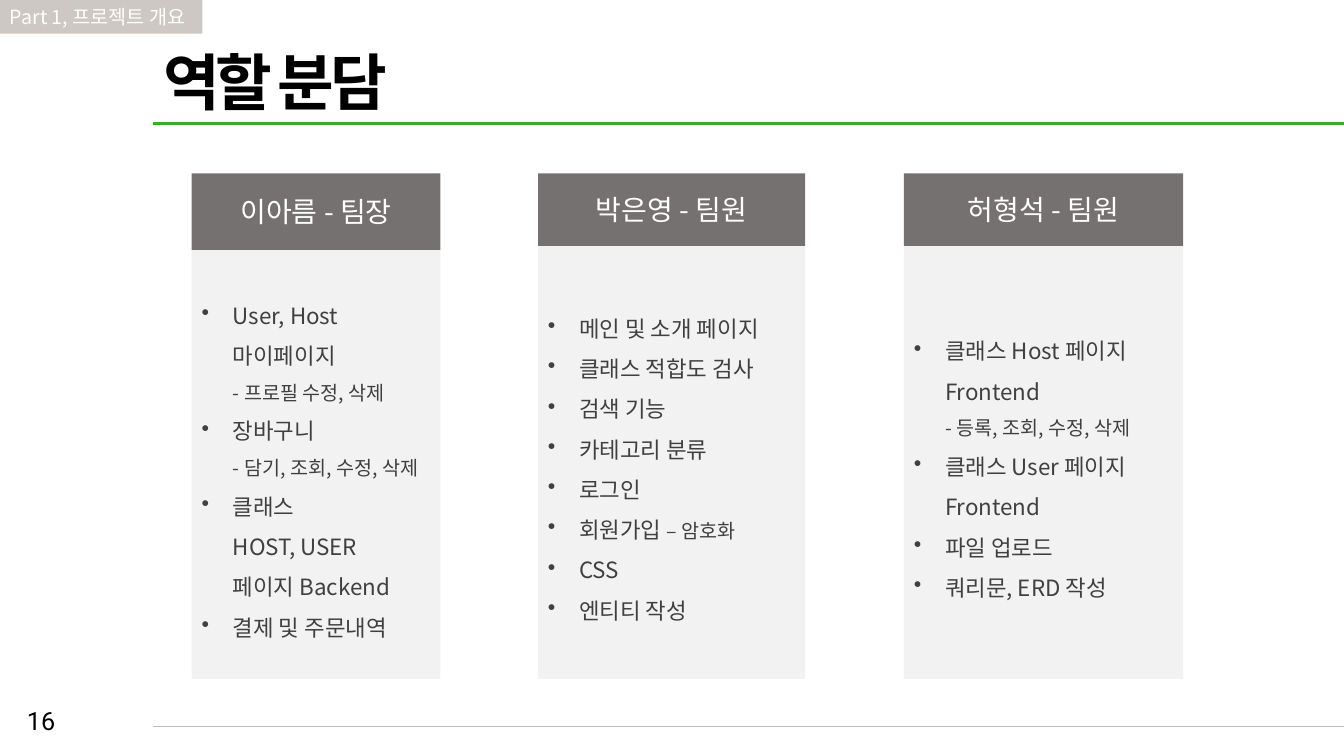
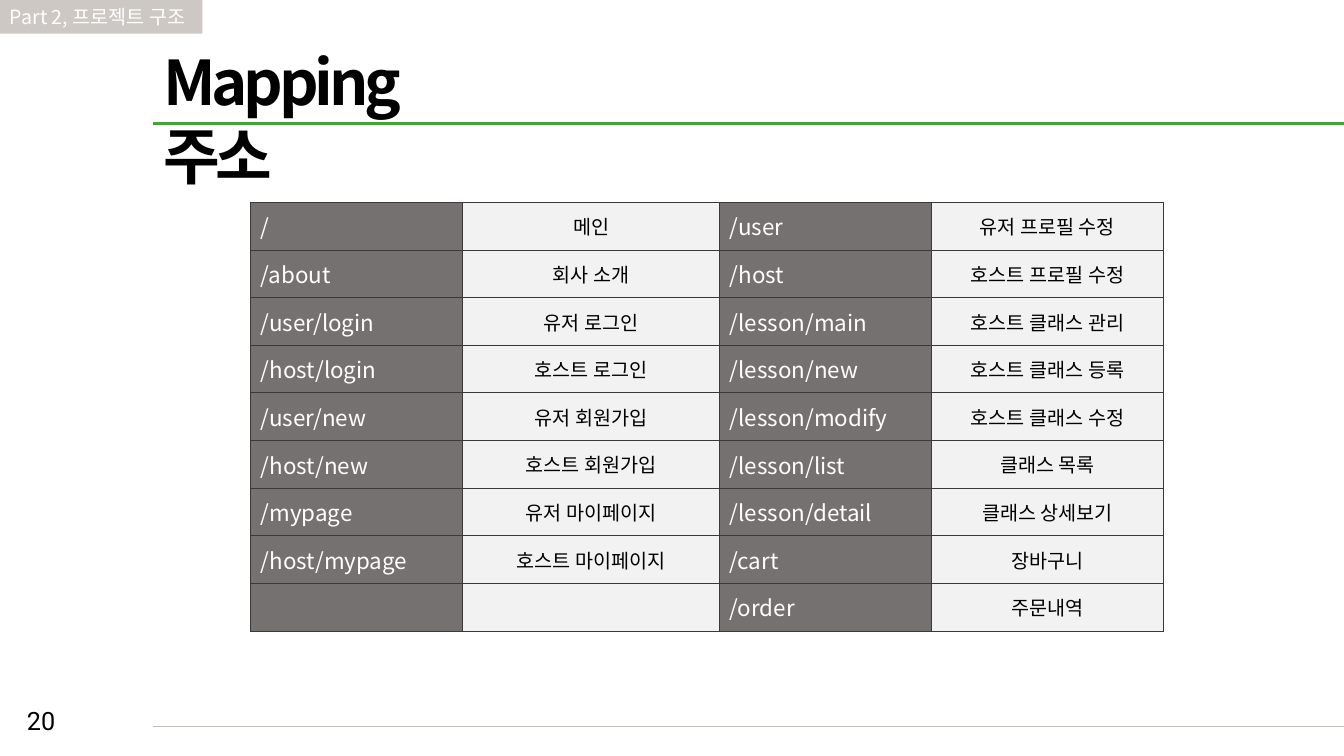
from copy import deepcopy

from lxml.etree import SubElement
from pptx import Presentation
from pptx.dml.color import RGBColor
from pptx.enum.shapes import MSO_CONNECTOR, MSO_SHAPE
from pptx.enum.text import MSO_ANCHOR, PP_ALIGN
from pptx.oxml.ns import qn
from pptx.util import Cm, Pt

WHITE = RGBColor(0xFF, 0xFF, 0xFF)
BLACK = RGBColor(0x00, 0x00, 0x00)
INK = RGBColor(0x40, 0x40, 0x40)
GRAY = RGBColor(0x76, 0x71, 0x71)
PALE = RGBColor(0xF2, 0xF2, 0xF2)
TAN = RGBColor(0xCD, 0xC8, 0xC3)
RULE = RGBColor(0xC8, 0xBD, 0xB4)
GREEN = RGBColor(0x34, 0xAF, 0x27)
EDGE = "3B3838"

FONT = "Noto Sans CJK KR"
WIDTH, HEIGHT = 33.87, 19.05
LEFT = 3.86
CARD_TOP, CARD_END = 4.37, 17.11
NOTE = 14

# left, width, head height, name, duties; a duty may be (text, small note)
CARDS = [
    (4.83, 6.27, 1.93, "이아름 - 팀장", [
        ("User, Host\n마이페이지\n", "- 프로필 수정, 삭제"),
        ("장바구니\n", "- 담기, 조회, 수정, 삭제"),
        "클래스\nHOST, USER\n페이지 Backend",
        "결제 및 주문내역",
    ]),
    (13.56, 6.73, 1.83, "박은영 - 팀원", [
        "메인 및 소개 페이지",
        "클래스 적합도 검사",
        "검색 기능",
        "카테고리 분류",
        "로그인",
        ("회원가입 ", "– 암호화"),
        "CSS",
        "엔티티 작성",
    ]),
    (22.78, 7.04, 1.83, "허형석 - 팀원", [
        ("클래스 Host 페이지 Frontend\n", "- 등록, 조회, 수정, 삭제"),
        "클래스 User 페이지 Frontend",
        "파일 업로드",
        "쿼리문, ERD 작성",
    ]),
]

COLS = [5.34, 6.48, 5.34, 5.84]
ROUTES = [
    ("/", "메인", "/user", "유저 프로필 수정"),
    ("/about", "회사 소개", "/host", "호스트 프로필 수정"),
    ("/user/login", "유저 로그인", "/lesson/main", "호스트 클래스 관리"),
    ("/host/login", "호스트 로그인", "/lesson/new", "호스트 클래스 등록"),
    ("/user/new", "유저 회원가입", "/lesson/modify", "호스트 클래스 수정"),
    ("/host/new", "호스트 회원가입", "/lesson/list", "클래스 목록"),
    ("/mypage", "유저 마이페이지", "/lesson/detail", "클래스 상세보기"),
    ("/host/mypage", "호스트 마이페이지", "/cart", "장바구니"),
    ("", "", "/order", "주문내역"),
]


def add_run(para, text, size, color, bold, font, track):
    run = para.add_run()
    run.text = text
    run.font.size = Pt(size)
    run.font.bold = bold
    run.font.color.rgb = color
    run.font.name = font
    props = run.font._element
    SubElement(props, qn("a:ea")).set("typeface", font)
    if track:
        props.set("spc", str(track * 100))
    return props


def add_dot(para):
    props = para._p.get_or_add_pPr()
    props.set("marL", str(Cm(0.79)))
    props.set("indent", str(-Cm(0.79)))
    SubElement(props, qn("a:buChar")).set("char", "•")


def write(frame, items, size=16, color=INK, bold=False, font=FONT, track=0,
          align=PP_ALIGN.LEFT, anchor=MSO_ANCHOR.MIDDLE, wrap=True,
          dots=False, space=None):
    """Fill a frame with one paragraph per item."""
    frame.word_wrap = wrap
    frame.vertical_anchor = anchor
    for i, item in enumerate(items):
        para = frame.add_paragraph() if i else frame.paragraphs[0]
        if dots:
            add_dot(para)
        para.alignment = align
        if space:
            para.line_spacing = space
        parts = (item,) if isinstance(item, str) else item
        for text, pts in zip(parts, (size, NOTE)):
            for j, line in enumerate(text.split("\n")):
                if j:
                    para.add_line_break()
                    para._p[-1].append(deepcopy(props))
                if line:
                    props = add_run(para, line, pts, color, bold, font, track)


def add_box(slide, left, top, width, height, fill, items, **style):
    box = slide.shapes.add_shape(MSO_SHAPE.RECTANGLE, Cm(left), Cm(top),
                                 Cm(width), Cm(height))
    box.shadow.inherit = False
    box.fill.solid()
    box.fill.fore_color.rgb = fill
    box.line.fill.background()
    write(box.text_frame, items, **style)


def add_text(slide, left, top, width, height, text, **style):
    box = slide.shapes.add_textbox(Cm(left), Cm(top), Cm(width), Cm(height))
    write(box.text_frame, [text], anchor=MSO_ANCHOR.TOP, **style)


def add_rule(slide, top, color, weight):
    rule = slide.shapes.add_connector(MSO_CONNECTOR.STRAIGHT, Cm(LEFT),
                                      Cm(top), Cm(WIDTH), Cm(top))
    rule.line.color.rgb = color
    rule.line.width = Pt(weight)
    SubElement(rule._element.spPr, qn("a:effectLst"))


def add_page(deck, part, title, number):
    """Add a slide with the shared tag, title, rules and page number."""
    slide = deck.slides.add_slide(deck.slide_layouts[6])
    add_text(slide, 0.43, 17.65, 3.81, 1.02, number, size=18, color=BLACK,
             font="Roboto")
    add_rule(slide, 18.31, RULE, 0.5)
    add_rule(slide, 3.12, GREEN, 2.25)
    add_text(slide, LEFT, 0.98, 8.5, 2.13, title, size=44, color=BLACK,
             bold=True, track=-3)
    add_box(slide, 0, 0, 5.1, 0.85, TAN, [part], size=14, color=WHITE,
            wrap=False)
    return slide


def add_card(slide, left, width, head, name, duties):
    top = CARD_TOP + head
    add_box(slide, left, top, width, CARD_END - top, PALE, duties,
            dots=True, space=1.5)
    add_box(slide, left, CARD_TOP, width, head, GRAY, [name], size=20,
            color=WHITE, align=PP_ALIGN.CENTER)


def add_edges(cell):
    props = cell._tc.get_or_add_tcPr()
    for side in ("lnL", "lnR", "lnT", "lnB"):
        line = SubElement(props, qn("a:" + side))
        line.set("w", str(Pt(0.75)))
        fill = SubElement(line, qn("a:solidFill"))
        SubElement(fill, qn("a:srgbClr")).set("val", EDGE)


def add_grid(slide, left, top, cols, height, rows):
    """Add a table whose columns alternate between route and meaning."""
    shape = slide.shapes.add_table(len(rows), len(cols), Cm(left), Cm(top),
                                   Cm(sum(cols)), Cm(height * len(rows)))
    table = shape.table
    table.first_row = table.horz_banding = False
    for col, width in zip(table.columns, cols):
        col.width = Cm(width)
    for row, texts in zip(table.rows, rows):
        row.height = Cm(height)
        for i, (cell, text) in enumerate(zip(row.cells, texts)):
            route = i % 2 == 0
            add_edges(cell)
            cell.fill.solid()
            cell.fill.fore_color.rgb = GRAY if route else PALE
            cell.vertical_anchor = MSO_ANCHOR.MIDDLE
            write(cell.text_frame, [text], size=16 if route else 14,
                  color=WHITE if route else BLACK,
                  align=PP_ALIGN.LEFT if route else PP_ALIGN.CENTER)


def main():
    deck = Presentation()
    deck.slide_width, deck.slide_height = Cm(WIDTH), Cm(HEIGHT)
    roles = add_page(deck, "Part 1, 프로젝트 개요", "역할 분담", "16")
    for card in CARDS:
        add_card(roles, *card)
    paths = add_page(deck, "Part 2, 프로젝트 구조", "Mapping 주소", "20")
    add_grid(paths, 6.32, 5.1, COLS, 1.2, ROUTES)
    deck.save("out.pptx")


if __name__ == "__main__":
    main()
